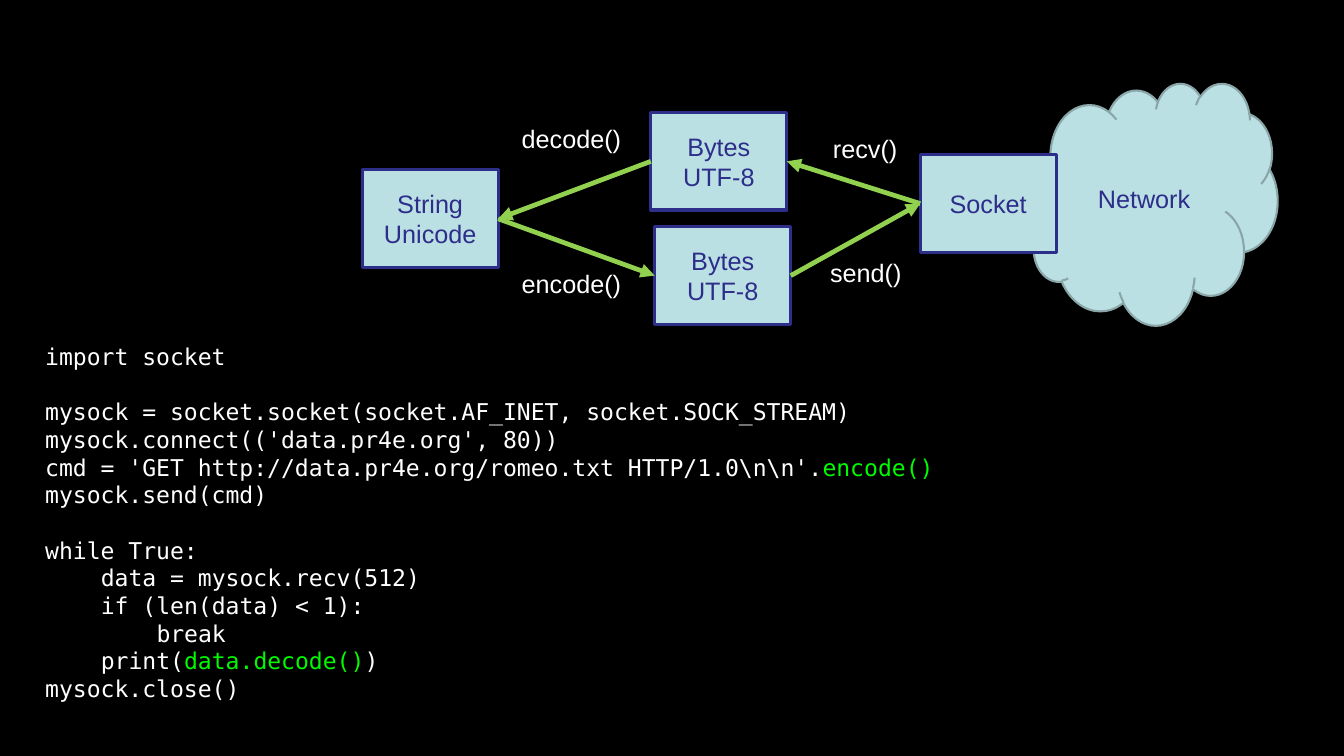
from lxml import etree
from pptx import Presentation
from pptx import util as u
from pptx.dml.color import RGBColor
from pptx.enum import shapes, text
from pptx.oxml.ns import qn

BLACK, WHITE, PALE, NAVY = "000000", "FFFFFF", "BBE0E3", "2D2D8A"
GREY, LIME, GREEN = "8AA6A8", "92D050", "00FA00"
NODE_WIDTH, NODE_HEIGHT = 4.57, 3.28
LINE_PITCH = 26.35
INDENT = 1.87

NODES = {
    "socket": (18.75, 2.41, ["Socket"]),
    "received": (9.7, 0.99, ["Bytes", "UTF-8"]),
    "string": (0, 2.92, ["String", "Unicode"]),
    "sent": (9.83, 4.83, ["Bytes", "UTF-8"]),
}
ARROWS = [
    ("string", 3, "sent", 1),
    ("socket", 1, "received", 3),
    ("sent", 3, "socket", 1),
    ("received", 1, "string", 3),
]
CALLS = [
    ("recv()", 15.57, 1.57, 2.69),
    ("decode()", 5.11, 1.22, 3.89),
    ("encode()", 5.11, 6.1, 3.89),
    ("send()", 15.47, 5.74, 2.95),
]
CODE = [
    (0, False, [("import socket", WHITE)]),
    (0, True, [("mysock = socket.socket(socket.AF_INET, socket.SOCK_STREAM)", WHITE)]),
    (0, False, [("mysock.connect(('data.pr4e.org', 80))", WHITE)]),
    (0, False, [("cmd = 'GET http://data.pr4e.org/romeo.txt HTTP/1.0\\n\\n'.", WHITE),
                ("encode()", GREEN)]),
    (0, False, [("mysock.send(cmd)", WHITE)]),
    (0, True, [("while True:", WHITE)]),
    (1, False, [("data = mysock.recv(512)", WHITE)]),
    (1, False, [("if (len(data) < 1):", WHITE)]),
    (2, False, [("break", WHITE)]),
    (1, False, [("print(", WHITE), ("data.decode()", GREEN), (")", WHITE)]),
    (0, False, [("mysock.close()", WHITE)]),
]


def paint(target, color):
    target.fore_color.rgb = RGBColor.from_string(color)


def fill_solid(fill, color):
    fill.solid()
    paint(fill, color)


def add_run(paragraph, words, color, size=24, font="Arial"):
    run = paragraph.add_run()
    run.text = words
    for name, value in {"size": u.Pt(size), "name": font}.items():
        setattr(run.font, name, value)
    run.font.color.rgb = RGBColor.from_string(color)


def next_paragraph(frame, index):
    return frame.add_paragraph() if index else frame.paragraphs[0]


def add_block(slide, preset, box, lines, edge, weight):
    block = slide.shapes.add_shape(preset, *map(u.Cm, box))
    block.shadow.inherit = False
    fill_solid(block.fill, PALE)
    fill_solid(block.line.fill, edge)
    block.line.width = u.Pt(weight)
    frame = block.text_frame
    frame.vertical_anchor = text.MSO_ANCHOR.MIDDLE
    for index, words in enumerate(lines):
        paragraph = next_paragraph(frame, index)
        paragraph.alignment = text.PP_ALIGN.CENTER
        add_run(paragraph, words, NAVY)
    return block


def add_arrow(slide, source, source_side, target, target_side):
    arrow = slide.shapes.add_connector(shapes.MSO_CONNECTOR.STRAIGHT, 0, 0, 0, 0)
    arrow.begin_connect(source, source_side)
    arrow.end_connect(target, target_side)
    fill_solid(arrow.line.fill, LIME)
    arrow.line.width = u.Pt(4.5)
    etree.SubElement(arrow.line._get_or_add_ln(), qn("a:tailEnd"), type="triangle")
    etree.SubElement(arrow._element.spPr, qn("a:effectLst"))


def add_call(slide, box, words):
    frame = slide.shapes.add_textbox(*map(u.Cm, box)).text_frame
    frame.word_wrap = False
    add_run(frame.paragraphs[0], words, WHITE)


def add_diagram(slide, box):
    left, top, width, height = box
    cloud_left, cloud_width = 22.38, 8.38
    add_block(slide, shapes.MSO_SHAPE.CLOUD,
              (left + cloud_left, top, cloud_width, height), ["Network"], GREY, 2)
    nodes = {
        key: add_block(slide, shapes.MSO_SHAPE.RECTANGLE,
                       (left + x, top + y, NODE_WIDTH, NODE_HEIGHT), lines, NAVY, 3)
        for key, (x, y, lines) in NODES.items()
    }
    for source, source_side, target, target_side in ARROWS:
        add_arrow(slide, nodes[source], source_side, nodes[target], target_side)
    for words, x, y, call_width in CALLS:
        add_call(slide, (left + x, top + y, call_width, 1.27), words)


def add_code(slide, box):
    frame = slide.shapes.add_textbox(*map(u.Cm, box)).text_frame
    frame.word_wrap = True
    for index, (level, gap, runs) in enumerate(CODE):
        paragraph = next_paragraph(frame, index)
        paragraph.line_spacing = u.Pt(LINE_PITCH)
        paragraph.space_before = u.Pt(LINE_PITCH if gap else 0)
        properties = paragraph._p.get_or_add_pPr()
        properties.set("marL", str(u.Cm(level * INDENT)))
        properties.set("indent", "0")
        for words, color in runs:
            add_run(paragraph, words, color, 22, "DejaVu Sans Mono")


def main():
    deck = Presentation()
    deck.slide_width, deck.slide_height = u.Cm(45.16), u.Cm(25.4)
    slide = deck.slides.add_slide(deck.slide_layouts[6])
    fill_solid(slide.background.fill, BLACK)
    add_diagram(slide, (12.17, 2.79, 30.76, 8.13))
    add_code(slide, (1.27, 11.38, 31.6, 12.47))
    deck.save("out.pptx")


if __name__ == "__main__":
    main()
